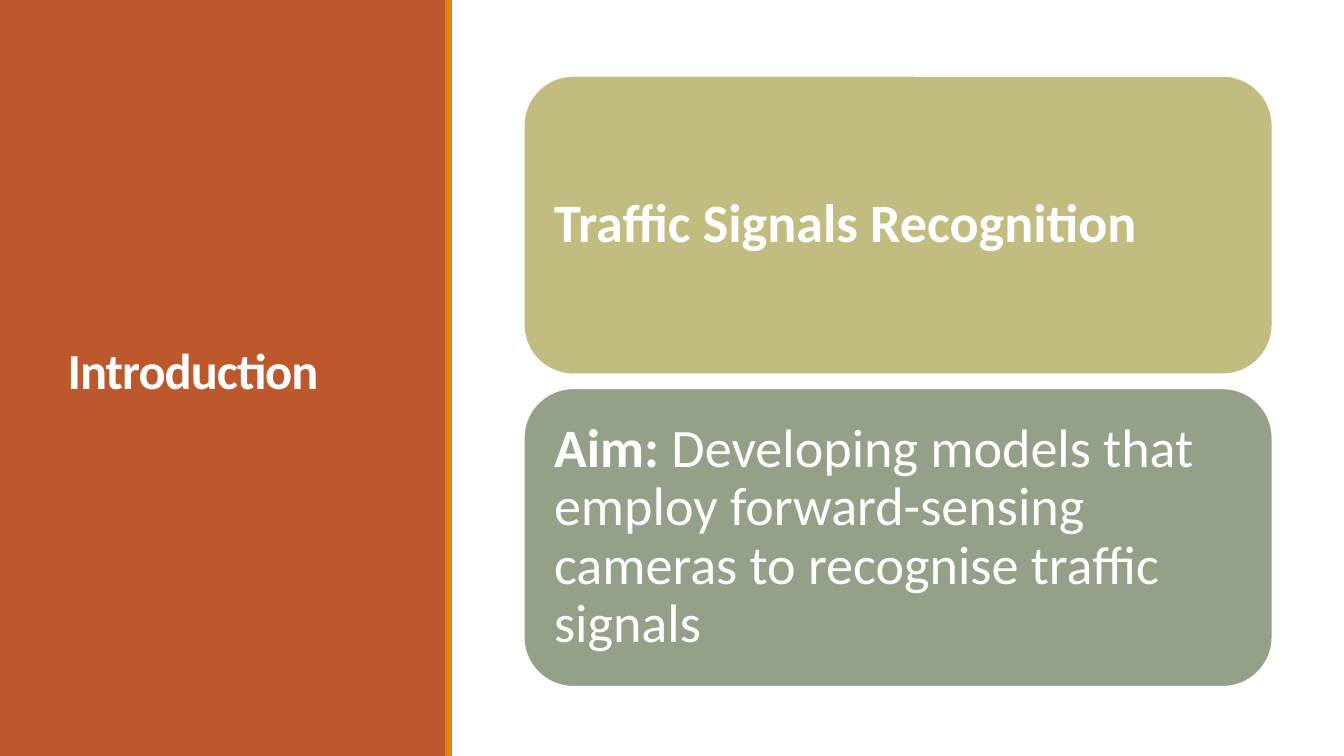
"""Build the introduction slide: a title panel beside two stacked cards."""
import pptx
import pptx.util
import pptx.dml.color
import pptx.enum.shapes
import pptx.enum.text

Pt = pptx.util.Pt
Kind = pptx.enum.shapes.MSO_SHAPE

HUES = {"rust": "BD582C", "orange": "E48312", "khaki": "C2BC80", "sage": "94A088", "white": "FFFFFF"}
FONT = "Calibri"
TITLE = [("Introduction", True)]
CARDS = [
    ("khaki", [("Traffic Signals Recognition", True)]),
    ("sage", [
        ("Aim: ", True),
        ("Developing models that employ forward-sensing cameras to recognise traffic signals", False),
    ]),
]
WIDE, HIGH = 720, 405
PANELS = [("rust", 0, 239), ("orange", 238.5, 3.6)]
LEFT, TOP, WIDTH, HEIGHT, GAP = 280.4, 40.5, 401.4, 160.2, 7.2


def tint(name):
    return pptx.dml.color.RGBColor.from_string(HUES[name])


def draw(slide, kind, hue, box):
    shape = slide.shapes.add_shape(kind, *map(Pt, box))
    shape.shadow.inherit = False
    shape.fill.solid()
    shape.fill.fore_color.rgb = tint(hue)
    shape.line.fill.background()
    return shape


def write(shape, runs, size, lead, inset):
    frame = shape.text_frame
    frame.word_wrap = True
    frame.auto_size = pptx.enum.text.MSO_AUTO_SIZE.NONE
    frame.vertical_anchor = pptx.enum.text.MSO_ANCHOR.MIDDLE
    frame.margin_left = frame.margin_right = Pt(inset)
    frame.margin_top = frame.margin_bottom = Pt(inset)
    para = frame.paragraphs[0]
    para.alignment = pptx.enum.text.PP_ALIGN.LEFT
    para.line_spacing = lead
    para.space_before = Pt(0)
    for text, bold in runs:
        run = para.add_run()
        run.text = text
        run.font.name = FONT
        run.font.size = Pt(size)
        run.font.bold = bold
        run.font.color.rgb = tint("white")
    return para


def main():
    deck = pptx.Presentation()
    deck.slide_width, deck.slide_height = Pt(WIDE), Pt(HIGH)
    slide = deck.slides.add_slide(deck.slide_layouts[5])

    for hue, left, width in PANELS:
        draw(slide, Kind.RECTANGLE, hue, (left, 0, width, HIGH))

    title = slide.shapes.title
    title.left, title.top, title.width, title.height = map(Pt, (29, 30, 182, 340.5))
    para = write(title, TITLE, 27, 0.85, 7.2)
    para.runs[0]._r.get_or_add_rPr().set("spc", "-50")
    slide.shapes._spTree.append(title._element)

    for row, (hue, runs) in enumerate(CARDS):
        top = TOP + row * (HEIGHT + GAP)
        card = draw(slide, Kind.ROUNDED_RECTANGLE, hue, (LEFT, top, WIDTH, HEIGHT))
        card.line.color.rgb = tint("white")
        card.line.width = Pt(1.25)
        write(card, runs, 29, 0.9, 8.6)

    deck.save("out.pptx")


if __name__ == "__main__":
    main()
